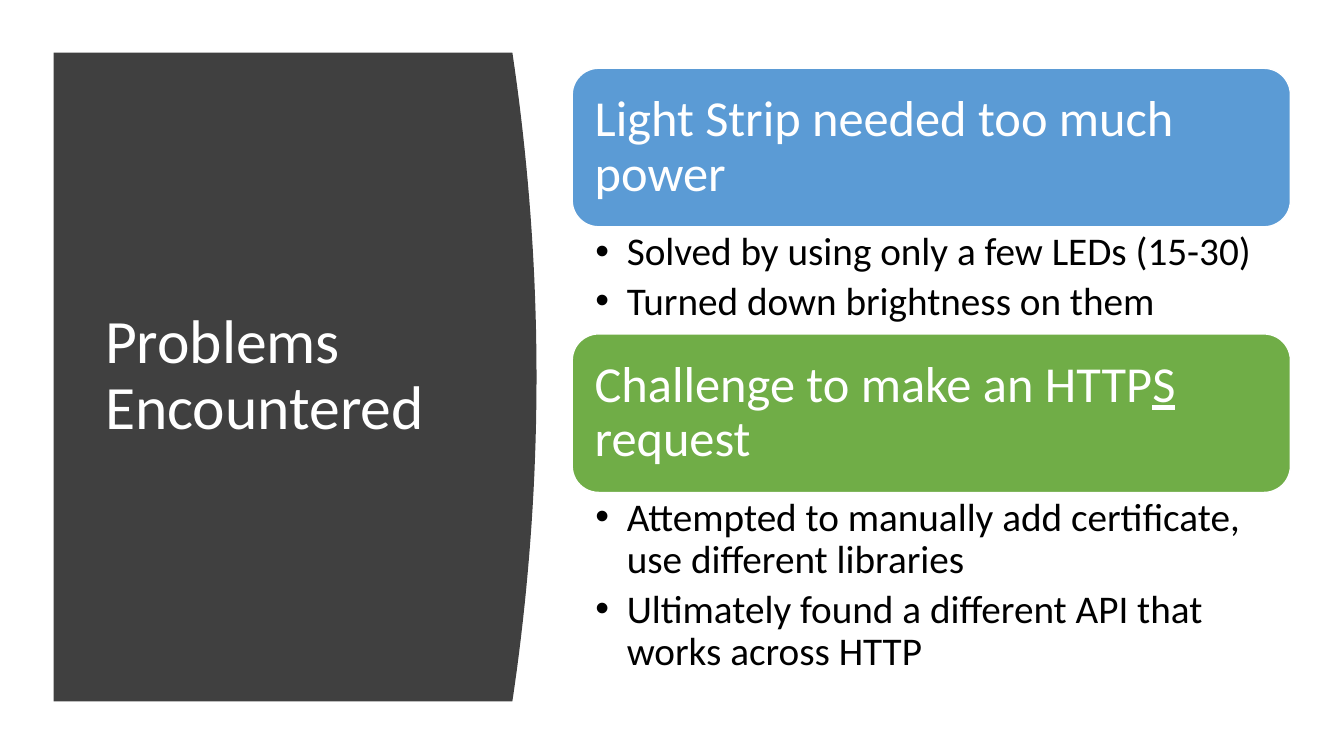
from lxml import etree
from pptx import Presentation
from pptx.dml.color import RGBColor
from pptx.enum.shapes import MSO_SHAPE
from pptx.enum.text import MSO_ANCHOR, PP_ALIGN
from pptx.oxml.ns import qn
from pptx.util import Pt

PX = 9525
FONT = "Calibri"
WHITE = RGBColor(0xFF, 0xFF, 0xFF)
BLACK = RGBColor(0x00, 0x00, 0x00)
CHARCOAL = RGBColor(0x40, 0x40, 0x40)
BLUE = RGBColor(0x5B, 0x9B, 0xD5)
GREEN = RGBColor(0x70, 0xAD, 0x47)

# heading runs as (text, underlined), colour, height of the details, details
PROBLEMS = [
    ([("Light Strip needed too much power", False)], BLUE, 102,
     ["Solved by using only a few LEDs (15-30)",
      "Turned down brightness on them"]),
    ([("Challenge to make an HTTP", False), ("S", True), (" request", False)], GREEN, 184,
     ["Attempted to manually add certificate, use different libraries",
      "Ultimately found a different API that works across HTTP"]),
]


def emu(*lengths):
    return [length * PX for length in lengths]


def set_frame(frame, anchor, left, top, right, bottom):
    frame.word_wrap = True
    frame.vertical_anchor = anchor
    frame.margin_left, frame.margin_top, frame.margin_right, frame.margin_bottom = emu(
        left, top, right, bottom)


def style_paragraph(para, size, color):
    para.alignment = PP_ALIGN.LEFT
    para.line_spacing = 0.9
    for span in para.runs:
        span.font.name = FONT
        span.font.size = Pt(size)
        span.font.color.rgb = color


def add_bullet(para, indent):
    properties = para._p.get_or_add_pPr()
    properties.set("marL", str(indent * PX))
    properties.set("indent", str(-indent * PX))
    etree.SubElement(properties, qn("a:buFont")).set("typeface", "Arial")
    etree.SubElement(properties, qn("a:buChar")).set("char", "•")


def add_title_panel(page, left, top, width, height, bulge=23, steps=40):
    """Draw the dark panel, whose right side is a shallow parabola, and its title."""
    side = left + width - bulge
    curve = []
    for step in range(steps + 1):
        t = step / steps
        curve.append(((side + 4 * bulge * t * (1 - t)) * PX, (top + height * t) * PX))
    builder = page.shapes.build_freeform(left * PX, top * PX, scale=1.0)
    builder.add_line_segments(curve + [(left * PX, (top + height) * PX)], close=True)
    panel = builder.convert_to_shape()
    panel.shadow.inherit = False
    panel.fill.solid()
    panel.fill.fore_color.rgb = CHARCOAL
    panel.line.fill.background()

    box = page.shapes.add_textbox(*emu(left + 39, top + 57, 359, 503))
    set_frame(box.text_frame, MSO_ANCHOR.MIDDLE, 10, 5, 10, 5)
    box.text_frame.text = "Problems Encountered"
    style_paragraph(box.text_frame.paragraphs[0], 44, WHITE)


def add_heading(page, left, top, width, height, parts, color):
    box = page.shapes.add_shape(MSO_SHAPE.ROUNDED_RECTANGLE, *emu(left, top, width, height))
    box.shadow.inherit = False
    box.fill.solid()
    box.fill.fore_color.rgb = color
    box.line.color.rgb = WHITE
    box.line.width = Pt(1)
    set_frame(box.text_frame, MSO_ANCHOR.MIDDLE, 14, 14, 14, 14)
    para = box.text_frame.paragraphs[0]
    for text, underlined in parts:
        span = para.add_run()
        span.text = text
        if underlined:
            span.font.underline = True
    style_paragraph(para, 36, WHITE)


def add_details(page, left, top, width, height, items):
    box = page.shapes.add_textbox(*emu(left, top, width, height))
    set_frame(box.text_frame, MSO_ANCHOR.TOP, 22, 5, 27, 5)
    box.text_frame.text = "\n".join(items)
    for para in box.text_frame.paragraphs:
        add_bullet(para, 30)
        style_paragraph(para, 28, BLACK)
        para.space_after = Pt(5)


def add_problem_list(page, left, top, width, heading_height=151):
    for parts, color, details_height, items in PROBLEMS:
        add_heading(page, left, top, width, heading_height, parts, color)
        top += heading_height
        add_details(page, left, top, width, details_height, items)
        top += details_height


def main():
    deck = Presentation()
    deck.slide_width, deck.slide_height = emu(1280, 720)
    page = deck.slides.add_slide(deck.slide_layouts[6])
    add_title_panel(page, 51, 50, 460, 618)
    add_problem_list(page, 545, 65, 684)
    deck.save("out.pptx")


if __name__ == "__main__":
    main()
